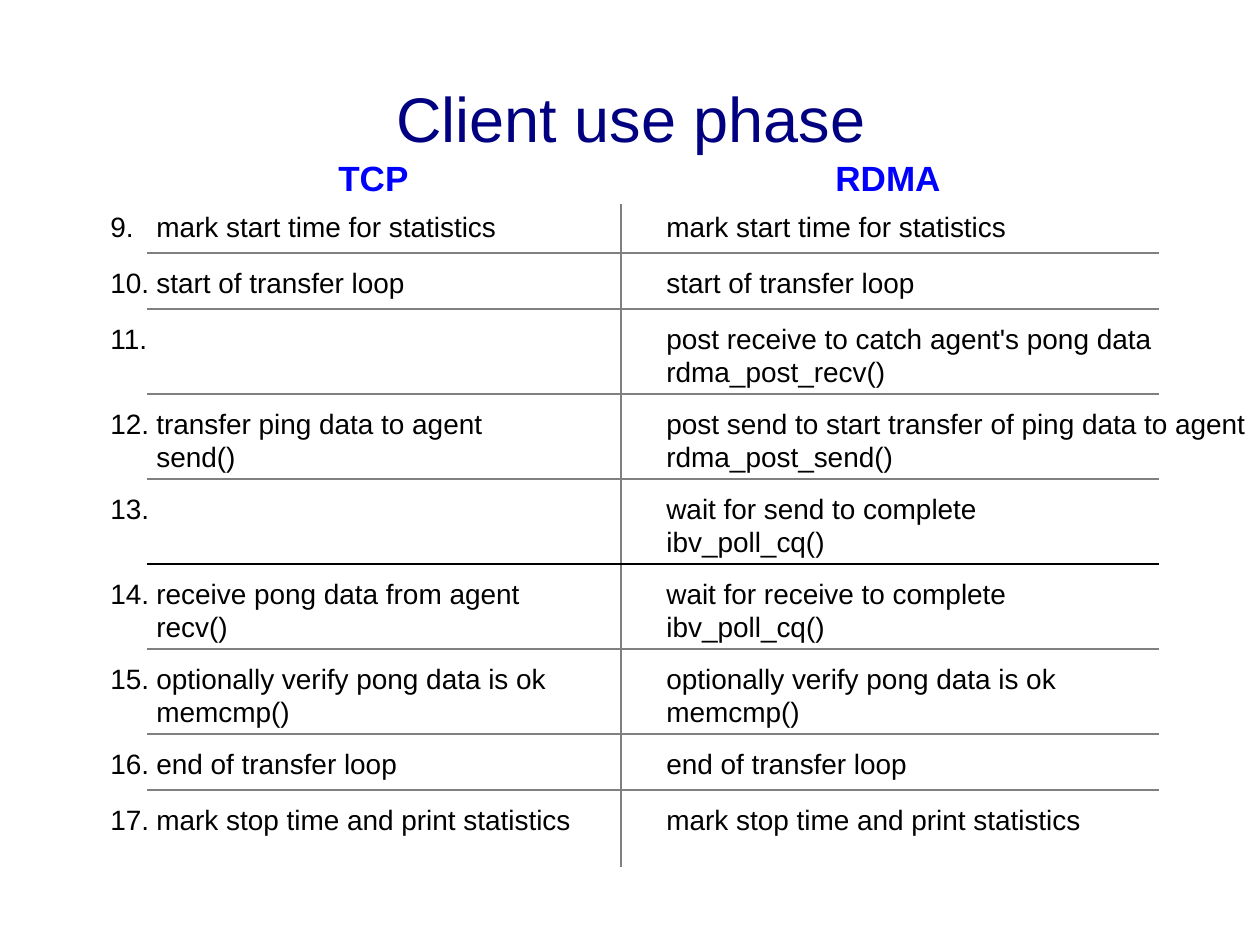
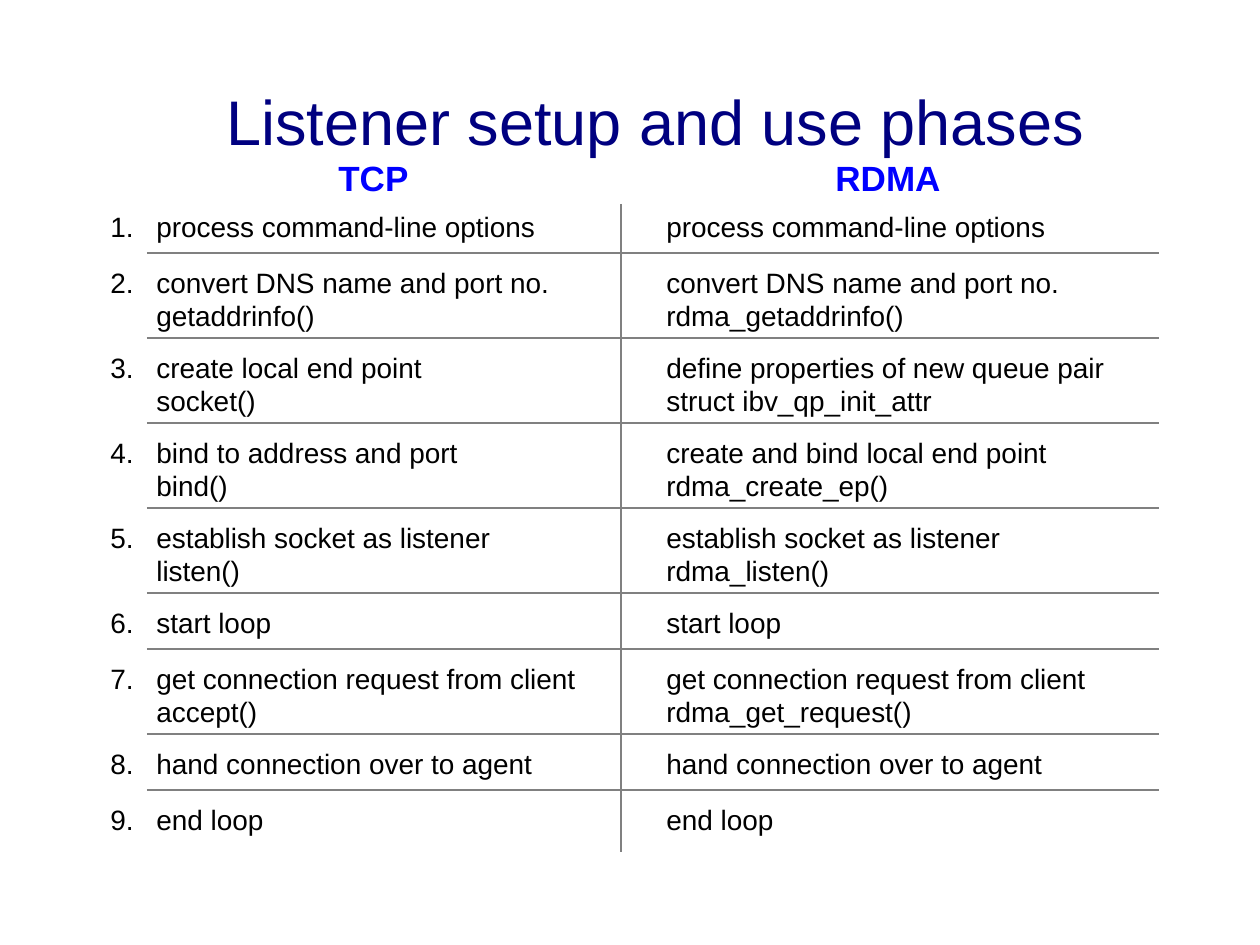
from dataclasses import dataclass

from lxml import etree
from pptx import Presentation
from pptx.dml.color import RGBColor
from pptx.enum.shapes import MSO_CONNECTOR
from pptx.oxml.ns import qn
from pptx.util import Pt

STRAIGHT = MSO_CONNECTOR.STRAIGHT
PX_PER_INCH = 126
EMU_PER_PX = 914400 / PX_PER_INCH


@dataclass(frozen=True)
class Theme:
    font: str = "Arial"
    title_color: str = "000080"
    heading_color: str = "0000FF"
    text_color: str = "000000"
    rule_color: str = "808080"
    title_size: int = 36
    heading_size: int = 20
    body_size: int = 16
    rule_width: float = 0.75


THEME = Theme()

TITLE_HEIGHT = 88
HEADING_TOP, HEADING_HEIGHT = 150, 54
HEADINGS = [("TCP", 326, 123), ("RDMA", 823, 170)]
TABLE_BOX = (98, 203, 1061)
RDMA_OFFSET = 556
DIVIDER_OFFSET = 523
RULE_OFFSET = 49
NUMBER_INDENT = 46
LINE_HEIGHT = {1: 45, 2: 79}
ROW_PITCH = {1: 56, 2: 85}
RULE_GAP = 6

CLIENT_STEPS = [
    (["mark start time for statistics"], ["mark start time for statistics"]),
    (["start of transfer loop"], ["start of transfer loop"]),
    ([], ["post receive to catch agent's pong data", "rdma_post_recv()"]),
    (["transfer ping data to agent", "send()"],
     ["post send to start transfer of ping data to agent", "rdma_post_send()"]),
    ([], ["wait for send to complete", "ibv_poll_cq()"]),
    (["receive pong data from agent", "recv()"],
     ["wait for receive to complete", "ibv_poll_cq()"]),
    (["optionally verify pong data is ok", "memcmp()"],
     ["optionally verify pong data is ok", "memcmp()"]),
    (["end of transfer loop"], ["end of transfer loop"]),
    (["mark stop time and print statistics"],
     ["mark stop time and print statistics"]),
]

LISTENER_STEPS = [
    (["process command-line options"], ["process command-line options"]),
    (["convert DNS name and port no.", "getaddrinfo()"],
     ["convert DNS name and port no.", "rdma_getaddrinfo()"]),
    (["create local end point", "socket()"],
     ["define properties of new queue pair", "struct ibv_qp_init_attr"]),
    (["bind to address and port", "bind()"],
     ["create and bind local end point", "rdma_create_ep()"]),
    (["establish socket as listener", "listen()"],
     ["establish socket as listener", "rdma_listen()"]),
    (["start loop"], ["start loop"]),
    (["get connection request from client", "accept()"],
     ["get connection request from client", "rdma_get_request()"]),
    (["hand connection over to agent"], ["hand connection over to agent"]),
    (["end loop"], ["end loop"]),
]


def px(length):
    return round(length * EMU_PER_PX)


def add_text(page, box, lines, size=THEME.body_size, color=THEME.text_color,
             bold=False, indent=0):
    frame = page.shapes.add_textbox(*map(px, box)).text_frame
    frame.word_wrap = True
    for index, line in enumerate(lines):
        para = frame.add_paragraph() if index else frame.paragraphs[0]
        if indent:
            properties = para._p.get_or_add_pPr()
            properties.set("marL", str(px(indent)))
            properties.set("indent", str(0 if index else -px(indent)))
        span = para.add_run()
        span.text = line
        span.font.name = THEME.font
        span.font.size = Pt(size)
        span.font.bold = bold
        span.font.color.rgb = RGBColor.from_string(color)


def add_rule(page, start, end, color=THEME.rule_color):
    rule = page.shapes.add_connector(STRAIGHT, *map(px, start + end))
    rule.line.color.rgb = RGBColor.from_string(color)
    rule.line.width = Pt(THEME.rule_width)
    etree.SubElement(rule._element.spPr, qn("a:effectLst"))


def text_width(lines):
    return 28 + 15 * max(map(len, lines))


def add_headings(page, title, title_box):
    add_text(page, title_box, [title], size=THEME.title_size,
             color=THEME.title_color)
    for heading, left, width in HEADINGS:
        add_text(page, (left, HEADING_TOP, width, HEADING_HEIGHT), [heading],
                 size=THEME.heading_size, color=THEME.heading_color, bold=True)


def add_step(page, left, top, number, tcp, rdma):
    label = f"{number}."
    if tcp:
        numbered = [f"{label}\t{tcp[0]}"] + tcp[1:]
        width = text_width(tcp) + NUMBER_INDENT
    else:
        numbered, width = [label], text_width([label])
    add_text(page, (left, top, width, LINE_HEIGHT[len(numbered)]), numbered,
             indent=NUMBER_INDENT if tcp else 0)
    add_text(page, (left + RDMA_OFFSET, top, text_width(rdma),
                    LINE_HEIGHT[len(rdma)]), rdma)


def add_comparison(page, box, steps, first_number, divider_length, dark_rule):
    left, top, width = box
    divider = left + DIVIDER_OFFSET
    add_rule(page, (divider, top + 1), (divider, top + 1 + divider_length))
    last_number = first_number + len(steps) - 1
    for number, (tcp, rdma) in enumerate(steps, first_number):
        add_step(page, left, top, number, tcp, rdma)
        top += ROW_PITCH[len(rdma)]
        if number < last_number:
            color = THEME.text_color if number == dark_rule else THEME.rule_color
            add_rule(page, (left + RULE_OFFSET, top - RULE_GAP),
                     (left + width, top - RULE_GAP), color=color)


def add_phase_page(deck, title, title_box, steps, first_number, divider_length,
                   dark_rule=None):
    page = deck.slides.add_slide(deck.slide_layouts[6])
    add_headings(page, title, title_box)
    add_comparison(page, TABLE_BOX, steps, first_number, divider_length, dark_rule)


def main():
    deck = Presentation()
    deck.slide_width, deck.slide_height = px(1260), px(945)
    add_phase_page(deck, "Client use phase", (384, 73, 645, TITLE_HEIGHT),
                   CLIENT_STEPS, first_number=9, divider_length=663, dark_rule=13)
    add_phase_page(deck, "Listener setup and use phases",
                   (214, 76, 1145, TITLE_HEIGHT),
                   LISTENER_STEPS, first_number=1, divider_length=648)
    deck.save("out.pptx")


if __name__ == "__main__":
    main()
